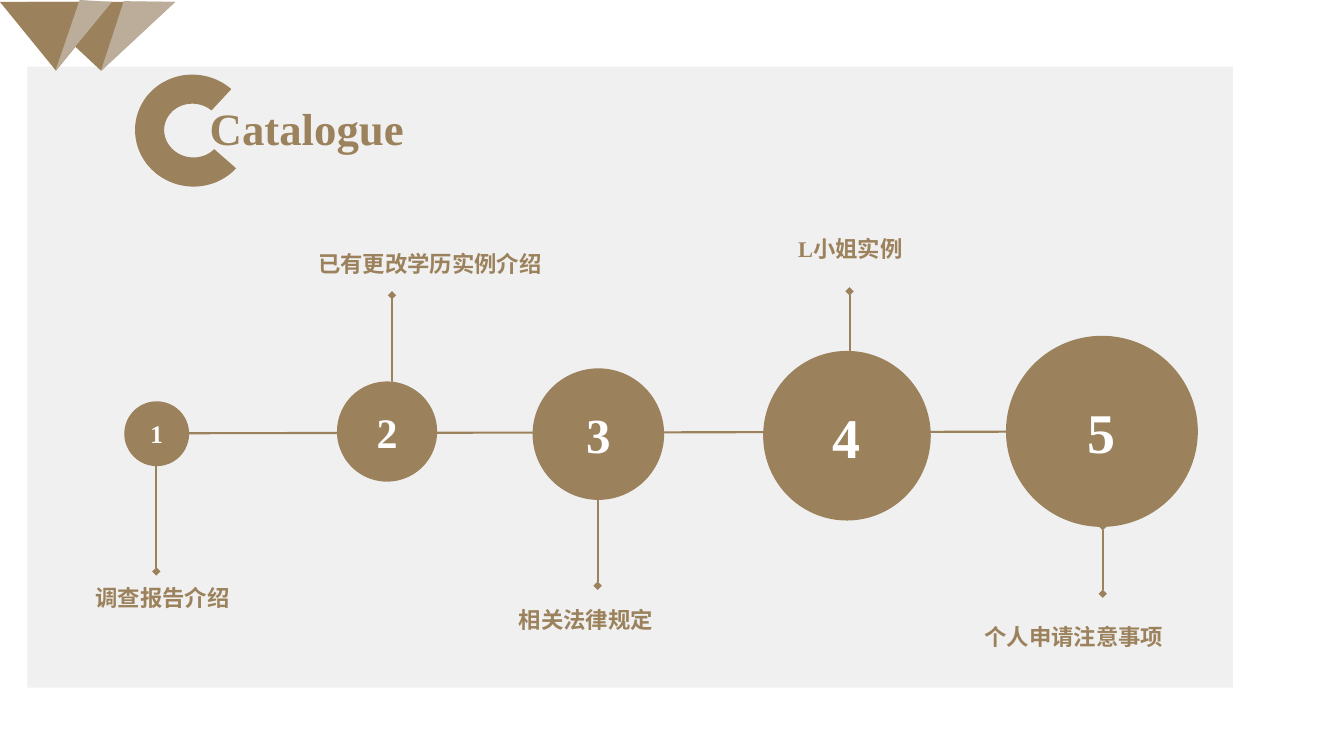
from lxml.etree import SubElement
from pptx import Presentation
from pptx.dml.color import RGBColor
from pptx.enum.shapes import MSO_CONNECTOR, MSO_SHAPE
from pptx.enum.text import MSO_ANCHOR, PP_ALIGN
from pptx.oxml.ns import qn
from pptx.util import Cm, Pt

GOLD = RGBColor(0x9C, 0x82, 0x5C)
SAND = RGBColor(0xBB, 0xAD, 0x99)
PANEL_GREY = RGBColor(0xF0, 0xF0, 0xF0)
WHITE = RGBColor(0xFF, 0xFF, 0xFF)

HEADING = "Catalogue"
HEADING_BOX = (5.03, 2.41, 5.46, 1.63)
PANEL_BOX = (0.69, 1.68, 30.38, 15.65)
LETTER_BOX = (3.4, 1.88, 2.92, 2.82)
LETTER_ARC = (127.21, 74.2, 0.26)
AXIS = (3.15, 10.92, 30.18, 10.87)
LABEL_HEIGHT = 0.94

STEPS = [
    dict(topic="调查报告介绍", size=18, circle=(3.15, 10.13, 1.6, 1.6),
         stem=(3.94, 11.66, 14.4), label=(2.16, 14.6, 3.94)),
    dict(topic="已有更改学历实例介绍", size=30, circle=(8.51, 9.63, 2.49, 2.49),
         stem=(9.88, 7.44, 9.7), label=(7.77, 6.17, 6.22)),
    dict(topic="相关法律规定", size=35, circle=(13.44, 9.3, 3.28, 3.28),
         stem=(15.06, 12.42, 14.76), label=(12.83, 15.16, 3.94)),
    dict(topic="L小姐实例", size=40, circle=(19.25, 8.86, 4.19, 4.24),
         stem=(21.41, 7.34, 9.02), label=(19.84, 5.79, 3.18),
         align=PP_ALIGN.CENTER, wrap=True),
    dict(topic="个人申请注意事项", size=40, circle=(25.37, 8.48, 4.8, 4.78),
         stem=(27.79, 13.26, 14.96), label=(24.56, 15.57, 6.5), wrap=True),
]

TRIANGLES = [(0.69, 0.05, 3.71, 1.73), (0, 0.05, 2.82, 1.73)]
FACETS = [
    [(2.01, 0), (2.82, 0.05), (1.4, 1.78)],
    [(3.12, 0.03), (4.42, 0.05), (2.54, 1.8)],
]


def cm(lengths):
    """Turn a row of numbers into lengths."""
    return [Cm(length) for length in lengths]


def paint(shape, colour, outline=False):
    """Give a shape a flat fill with or without a matching outline."""
    shape.shadow.inherit = False
    shape.fill.solid()
    shape.fill.fore_color.rgb = colour
    if outline:
        shape.line.color.rgb = colour
        shape.line.width = Pt(1)
    else:
        shape.line.fill.background()


def add_figure(slide, preset, box, colour, outline=False):
    """Add a painted preset shape."""
    figure = slide.shapes.add_shape(preset, *cm(box))
    paint(figure, colour, outline)
    return figure


def add_rule(slide, ends, **arrowheads):
    """Add a gold line with the given arrowheads."""
    rule = slide.shapes.add_connector(MSO_CONNECTOR.STRAIGHT, *cm(ends))
    rule.line.color.rgb = GOLD
    rule.line.width = Pt(1.5)
    outline = rule.line._get_or_add_ln()
    for end, kind in arrowheads.items():
        SubElement(outline, qn(f"a:{end}"), type=kind)
    SubElement(rule._element.spPr, qn("a:effectLst"))


def write(shape, wording, size, colour, align=PP_ALIGN.LEFT,
          anchor=MSO_ANCHOR.TOP, wrap=False):
    """Put one bold line of text into a shape."""
    frame = shape.text_frame
    frame.text = wording
    frame.word_wrap = wrap
    frame.vertical_anchor = anchor
    paragraph = frame.paragraphs[0]
    paragraph.alignment = align
    font = paragraph.runs[0].font
    font.color.rgb = colour
    look = dict(name="Times New Roman", size=Pt(size), bold=True)
    for attribute, setting in look.items():
        setattr(font, attribute, setting)


def add_heading(slide):
    """Set the title beside its large letter C."""
    title = slide.shapes.title
    places = dict(zip(("left", "top", "width", "height"), cm(HEADING_BOX)))
    for side, length in places.items():
        setattr(title, side, length)
    write(title, HEADING, 32, GOLD, anchor=MSO_ANCHOR.MIDDLE)
    letter = add_figure(slide, MSO_SHAPE.BLOCK_ARC, LETTER_BOX, GOLD)
    for index, amount in enumerate(LETTER_ARC):
        letter.adjustments[index] = amount
    letter.rotation = 189.1


def add_steps(slide):
    """Draw the growing circles with their stems and labels."""
    add_rule(slide, AXIS, tailEnd="arrow")
    for number, step in enumerate(STEPS, 1):
        circle = add_figure(slide, MSO_SHAPE.OVAL, step["circle"], GOLD, True)
        write(circle, str(number), step["size"], WHITE,
              PP_ALIGN.CENTER, MSO_ANCHOR.MIDDLE, True)
        x, top, bottom = step["stem"]
        add_rule(slide, (x, top, x, bottom), headEnd="diamond", tailEnd="diamond")
        label = slide.shapes.add_textbox(*cm((*step["label"], LABEL_HEIGHT)))
        write(label, step["topic"], 16, GOLD,
              step.get("align", PP_ALIGN.LEFT), wrap=step.get("wrap", False))


def add_corner(slide):
    """Draw the folded triangles in the corner."""
    for box in TRIANGLES:
        add_figure(slide, MSO_SHAPE.ISOSCELES_TRIANGLE, box, GOLD).rotation = 180
    for first, *others in FACETS:
        outline = slide.shapes.build_freeform(*cm(first))
        outline.add_line_segments([cm(point) for point in others])
        paint(outline.convert_to_shape(), SAND)


def main():
    """Build the catalogue slide."""
    deck = Presentation()
    deck.slide_width, deck.slide_height = cm((33.87, 19.05))
    slide = deck.slides.add_slide(deck.slide_layouts[5])
    panel = add_figure(slide, MSO_SHAPE.RECTANGLE, PANEL_BOX, PANEL_GREY)
    slide.shapes.title._element.addprevious(panel._element)
    add_steps(slide)
    add_corner(slide)
    add_heading(slide)
    deck.save("out.pptx")


if __name__ == "__main__":
    main()
